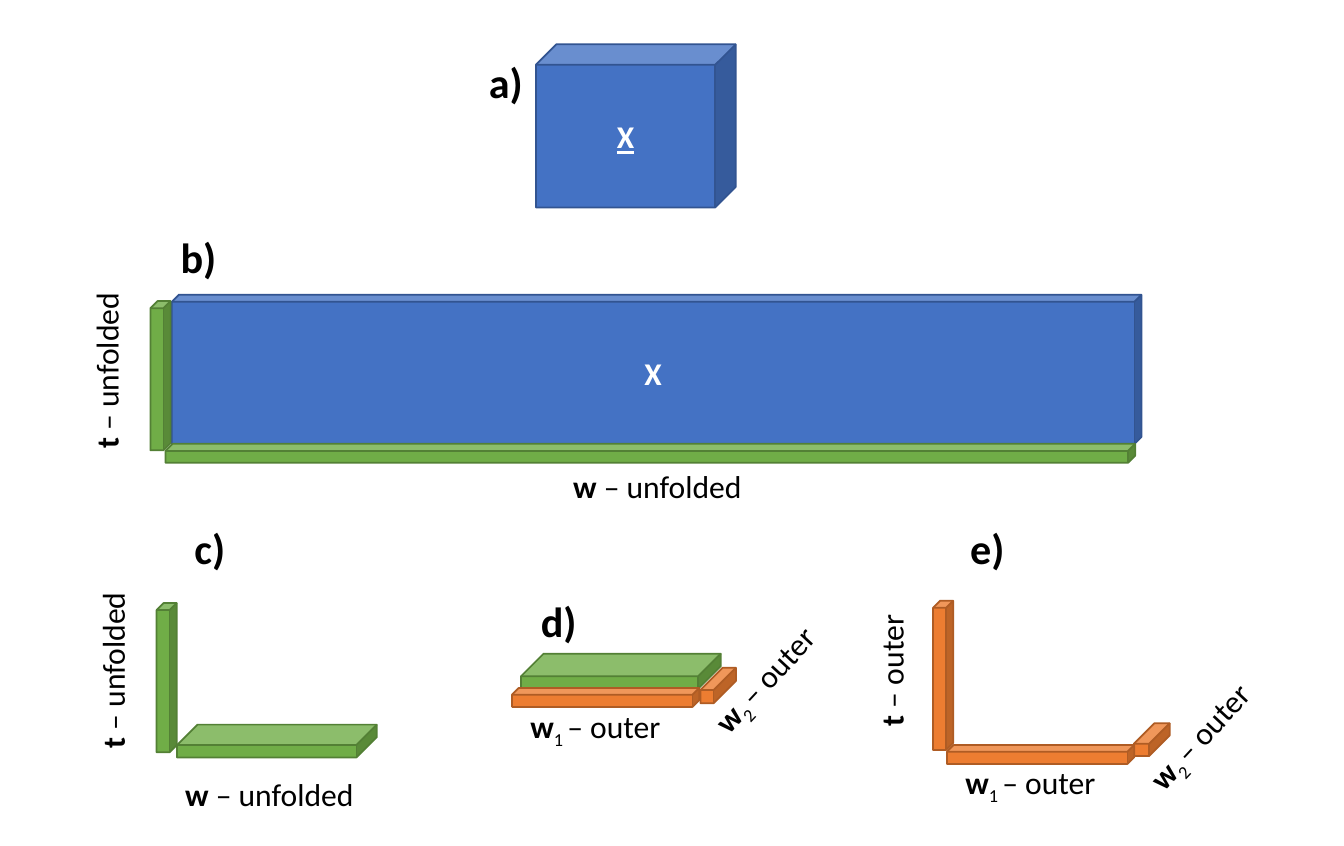
from dataclasses import dataclass

from pptx import Presentation
from pptx.dml.color import RGBColor
from pptx.enum import shapes, text
from pptx.util import Pt


@dataclass(frozen=True)
class Theme:
    font: str = "Calibri"
    ink: str = "000000"
    light: str = "FFFFFF"
    body: int = 18
    heading: int = 24
    edge: int = 1
    data: tuple = ("4472C4", "325491")      # fill, line
    unfolded: tuple = ("70AD47", "538035")
    outer: tuple = ("ED7D31", "AF5C24")


THEME = Theme()

# Shared lengths in points
BAR = 11.5          # width of an upright t bar
STRIP = 10.8        # height of a flat w strip
MODE = 85           # length of the t mode
SIDE = 113.8        # width of the cube and of a folded w
OUTER = 106.6       # length of w1
LABEL_W, TILTED_W, LABEL_H = 122.4, 104.4, 29.1
HEADING_H = 36.4
UPRIGHT, TILT = 270, 312.9


def set_all(target, values):
    for name, value in values.items():
        setattr(target, name, value)


def write(frame, runs, size, color):
    """Write one centred line of (words, format) runs."""
    line = frame.paragraphs[0]
    line.alignment = text.PP_ALIGN.CENTER
    for words, style in runs:
        run = line.add_run()
        run.text = words
        style = dict(style)
        baseline = style.pop("baseline", None)
        if baseline:
            run._r.get_or_add_rPr().set("baseline", str(baseline))
        set_all(run.font, {"name": THEME.font, "size": Pt(size), "bold": False, **style})
        run.font.color.rgb = RGBColor.from_string(color)


def add_block(slide, box, depth, colors, runs=()):
    block = slide.shapes.add_shape(shapes.MSO_SHAPE.CUBE, *map(Pt, box))
    block.adjustments[0] = depth
    block.shadow.inherit = False
    fill, edge = colors
    block.fill.solid()
    block.fill.fore_color.rgb = RGBColor.from_string(fill)
    block.line.color.rgb = RGBColor.from_string(edge)
    block.line.width = Pt(THEME.edge)
    block.text_frame.vertical_anchor = text.MSO_ANCHOR.MIDDLE
    if runs:
        write(block.text_frame, runs, THEME.body, THEME.light)


def add_text(slide, box, runs, size, rotation=0):
    label = slide.shapes.add_textbox(*map(Pt, box))
    label.rotation = rotation
    set_all(label.text_frame, {"word_wrap": True,
                               "auto_size": text.MSO_AUTO_SIZE.SHAPE_TO_FIT_TEXT})
    write(label.text_frame, runs, size, THEME.ink)


def add_label(slide, left, top, symbol, kind, index="", rotation=0):
    """Name a mode: bold symbol, optional subscript, then its kind."""
    runs = [(symbol, {"bold": True})]
    if index:
        runs += [(index + " ", {"baseline": -25000}), ("– " + kind, {})]
    else:
        runs.append((" – " + kind, {}))
    width = TILTED_W if rotation == TILT else LABEL_W
    add_text(slide, (left, top, width, LABEL_H), runs, THEME.body, rotation)


def main():
    deck = Presentation()
    set_all(deck, {"slide_width": Pt(765.4), "slide_height": Pt(481.7)})
    slide = deck.slides.add_slide(deck.slide_layouts[6])
    data, unfolded, outer = THEME.data, THEME.unfolded, THEME.outer
    bold = {"bold": True}

    # Blocks, from back to front
    blocks = [
        # c) folded w
        ((100.8, 412.6, SIDE, 18.7), 0.622, unfolded),
        # b) unfolded data with its t and w
        ((97.9, 167.8, 552.2, MODE), 0.047, data, [("X", bold)]),
        ((85.7, 171.4, BAR, MODE), 0.356, unfolded),
        ((94.3, 252.7, 552.2, STRIP), 0.375, unfolded),
        # e) w2, w1 and t
        ((645.8, 411.8, 20.4, 18.7), 0.627, outer),
        ((539.3, 424.2, OUTER, STRIP), 0.356, outer),
        ((531.4, 342, BAR, MODE), 0.356, outer),
        # d) folded w over w2 and w1
        ((296.7, 372.2, SIDE, 20), 0.645, unfolded),
        ((398.9, 380.2, 20.2, 20.2), 0.627, outer),
        ((291.6, 391.7, OUTER, STRIP), 0.356, outer),
        # a) data cube
        ((305.2, 25.2, SIDE, 92.9), 0.126, data,
         [("X", {"bold": True, "underline": True})]),
        # c) t
        ((89.2, 343.3, BAR, MODE), 0.356, unfolded),
    ]
    for block in blocks:
        add_block(slide, *block)

    # Mode labels
    labels = [
        (313.2, 262.1, "w", "unfolded"),
        (-0.7, 196.6, "t", "unfolded", "", UPRIGHT),
        (92.2, 437.8, "w", "unfolded"),
        (2.9, 367.2, "t", "unfolded", "", UPRIGHT),
        (277.9, 398.9, "w", "outer", "1"),
        (383, 372.2, "w", "outer", "2", TILT),
        (525.6, 430.6, "w", "outer", "1"),
        (630.7, 404.6, "w", "outer", "2", TILT),
        (446.4, 367.2, "t", "outer", "", UPRIGHT),
    ]
    for label in labels:
        add_label(slide, *label)

    # Panel letters
    panels = [("a)", 268.6, 28.8), ("b)", 93.6, 128.2), ("c)", 100.1, 293.8),
              ("d)", 298.8, 335.5), ("e)", 542.9, 293.8)]
    for letter, left, top in panels:
        add_text(slide, (left, top, 38.9, HEADING_H), [(letter, bold)], THEME.heading)

    deck.save("out.pptx")


main()
